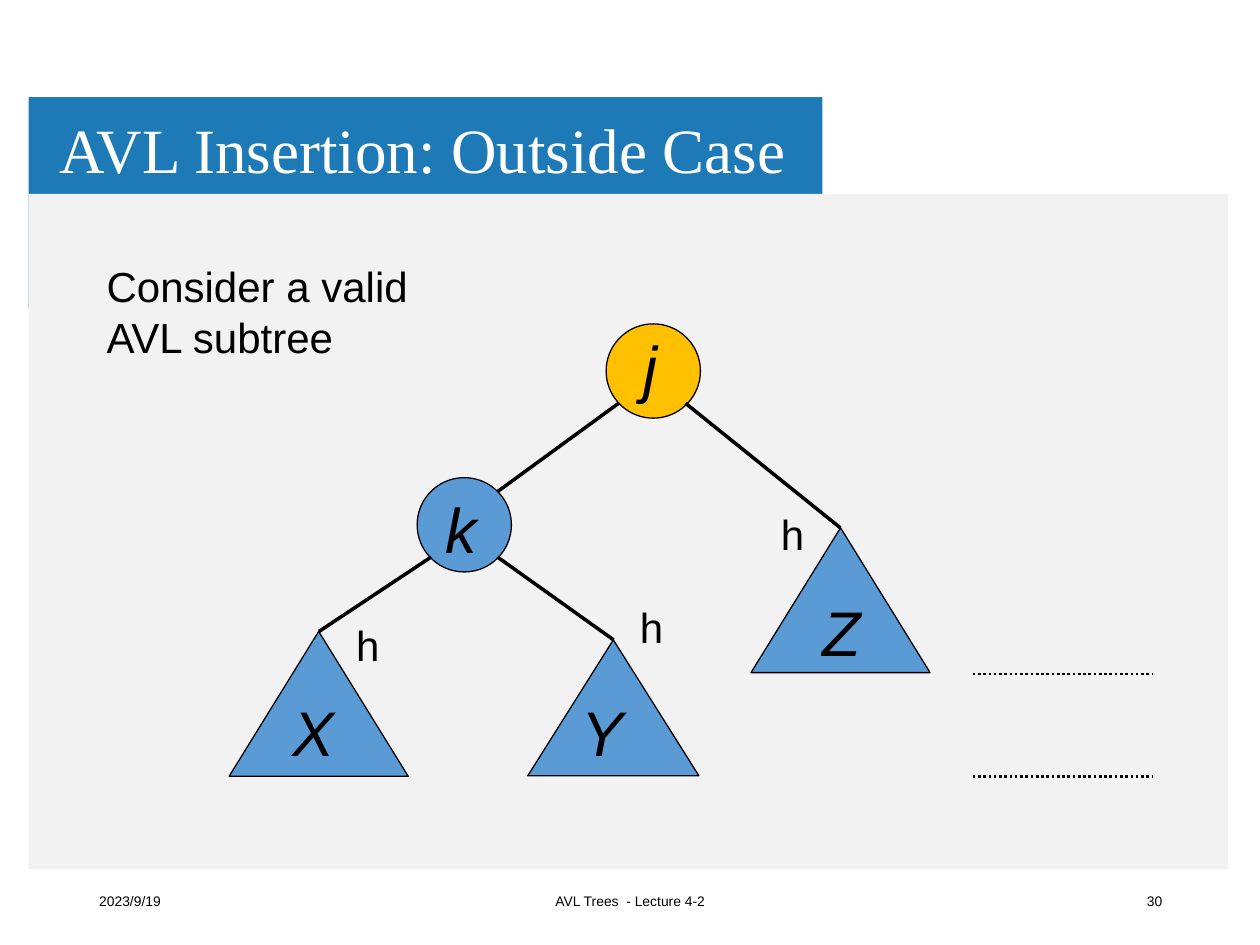
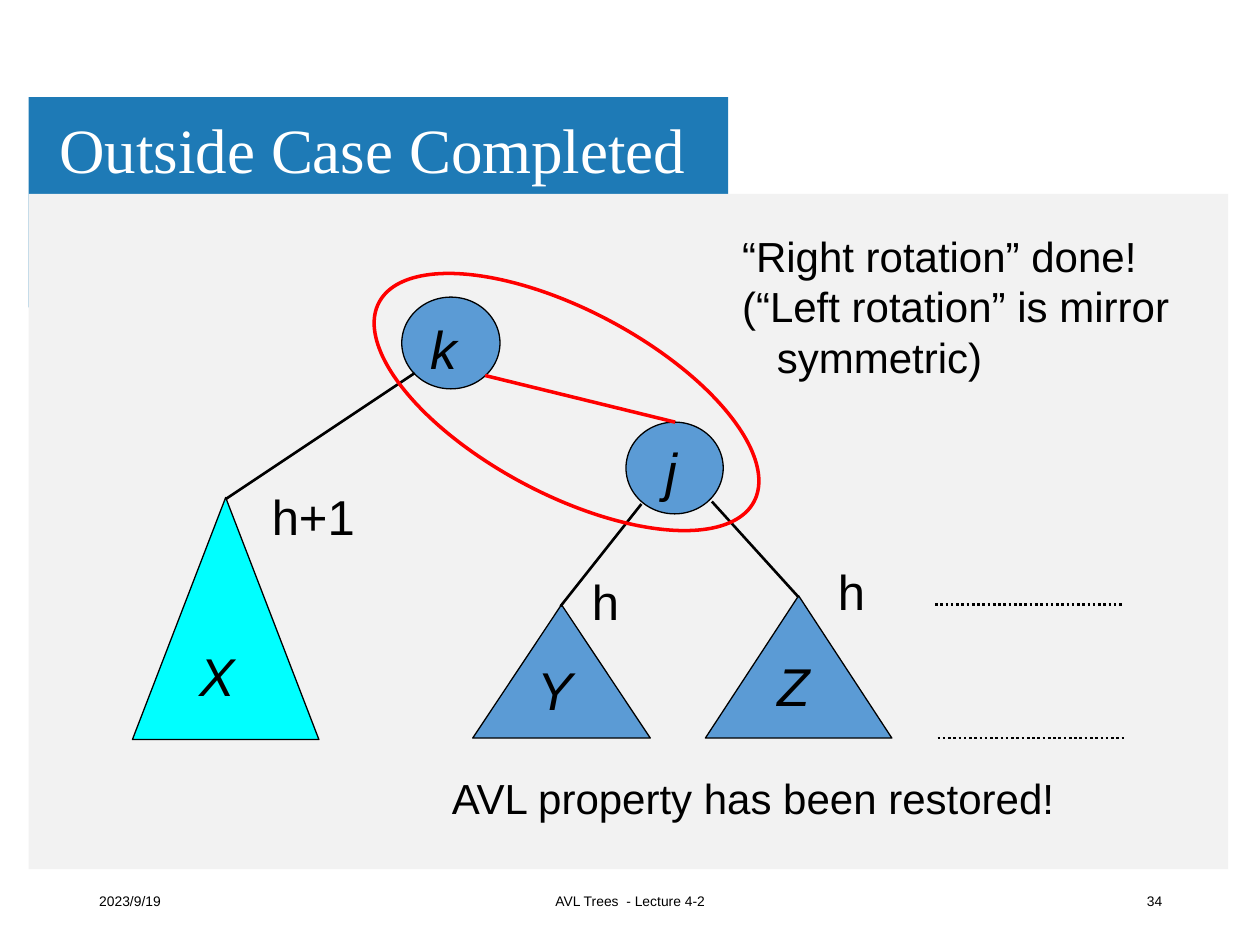
from lxml.etree import SubElement
from pptx import Presentation
from pptx.dml.color import RGBColor
from pptx.enum.dml import MSO_LINE
from pptx.enum.shapes import MSO_CONNECTOR, MSO_SHAPE
from pptx.enum.text import MSO_ANCHOR, PP_ALIGN
from pptx.oxml.ns import qn
from pptx.util import Cm, Pt

BAND = RGBColor(0x1E, 0x7A, 0xB6)
PANEL = RGBColor(0xF2, 0xF2, 0xF2)
BLUE = RGBColor(0x5B, 0x9B, 0xD5)
AMBER = RGBColor(0xFF, 0xC0, 0x00)
CYAN = RGBColor(0x00, 0xFF, 0xFF)
RED = RGBColor(0xFF, 0x00, 0x00)
BLACK = RGBColor(0x00, 0x00, 0x00)
WHITE = RGBColor(0xFF, 0xFF, 0xFF)

OVAL, TREE = MSO_SHAPE.OVAL, MSO_SHAPE.ISOSCELES_TRIANGLE
LEFT, MID, RIGHT = PP_ALIGN.LEFT, PP_ALIGN.CENTER, PP_ALIGN.RIGHT


def write(slide, rows, box, size, align=LEFT, color=BLACK, face="Arial", slant=False):
    """Add a text box with one paragraph for each row."""
    frame = slide.shapes.add_textbox(*map(Cm, box)).text_frame
    frame.word_wrap = True
    for num, row in enumerate(rows):
        para = frame.add_paragraph() if num else frame.paragraphs[0]
        para.alignment = align
        run = para.add_run()
        run.text = row
        run.font.name, run.font.size = face, Pt(size)
        run.font.color.rgb, run.font.italic = color, slant
    return frame


def draw(slide, kind, box, fill=None, line=None, width=0.75):
    """Add a preset shape without shadow."""
    shape = slide.shapes.add_shape(kind, *map(Cm, box))
    shape.shadow.inherit = False
    if fill is None:
        shape.fill.background()
    else:
        shape.fill.solid()
        shape.fill.fore_color.rgb = fill
    if line is None:
        shape.line.fill.background()
    else:
        shape.line.color.rgb, shape.line.width = line, Pt(width)
    return shape


# What each slide holds, in centimetres and points
pages = [
    dict(
        title="AVL Insertion: Outside Case", band=16, number="30",
        notes=[(["Consider a valid", "AVL subtree"], (1.9, 5.13, 6.8, 2.31))],
        nodes=[
            (OVAL, (12.22, 6.53, 1.9, 1.9), AMBER),
            (OVAL, (8.41, 9.63, 1.9, 1.9), BLUE),
            (TREE, (4.62, 12.73, 3.61, 2.92), BLUE),
            (TREE, (10.64, 12.9, 3.45, 2.74), BLUE),
            (TREE, (15.14, 10.64, 3.61, 2.92), BLUE),
        ],
        edges=[
            (12.47, 8.13, 10.03, 9.91), (8.69, 11.23, 6.43, 12.73),
            (10.03, 11.23, 12.37, 12.9), (13.82, 8.13, 16.94, 10.64),
        ],
        weight=2, hot=[],
        dots=[(19.61, 13.59, 23.24, 13.59), (19.61, 15.65, 23.24, 15.65)],
        names=[("j", 12.73, 6.5), ("k", 8.74, 9.77), ("X", 5.64, 13.86),
               ("Y", 11.48, 13.86), ("Z", 16.33, 11.85)],
        big=36,
        heights=[("h", 15.49, 10.13), ("h", 6.93, 12.37), ("h", 12.65, 12.01)],
        small=24,
    ),
    dict(
        title="Outside Case Completed", band=14.1, number="34",
        notes=[
            (["“Right rotation” done!", "(“Left rotation” is mirror", "symmetric)"],
             (14.71, 4.52, 9.5, 3.33)),
            (["AVL property has been restored!"], (8.86, 15.44, 12.9, 1.27)),
        ],
        nodes=[
            (OVAL, (12.62, 8.51, 1.96, 1.85), BLUE),
            (OVAL, (8.1, 5.99, 1.98, 1.85), BLUE),
            (TREE, (2.67, 10.03, 3.76, 4.88), CYAN),
            (TREE, (9.53, 12.19, 3.58, 2.69), BLUE),
            (TREE, (14.22, 12.01, 3.76, 2.87), BLUE),
        ],
        edges=[
            (4.55, 10.06, 8.36, 7.52), (12.93, 10.16, 11.3, 12.22),
            (14.35, 10.11, 16.1, 12.04),
        ],
        weight=1.5, hot=[(9.78, 7.57, 13.61, 8.51)],
        dots=[(18.85, 12.19, 22.61, 12.19), (18.9, 14.88, 22.66, 14.88)],
        names=[("j", 13.17, 8.71), ("k", 8.43, 6.25), ("X", 3.78, 12.85),
               ("Y", 10.59, 13.13), ("Z", 15.42, 13.05)],
        big=30.4,
        heights=[("h", 16.64, 11.2), ("h+1", 5.23, 9.68), ("h", 11.68, 11.4)],
        small=28,
    ),
]

deck = Presentation()
deck.slide_width, deck.slide_height = Cm(25.4), Cm(19.05)

for page in pages:
    slide = deck.slides.add_slide(deck.slide_layouts[6])

    # Title band and panel
    draw(slide, MSO_SHAPE.RECTANGLE, (0.58, 1.96, page["band"], 4.24), BAND)
    draw(slide, MSO_SHAPE.RECTANGLE, (0.58, 3.91, 24.18, 13.61), PANEL)
    head = write(slide, [page["title"]], (1.02, 2.08, 19.6, 2), 36,
                 color=WHITE, face="Times New Roman")
    head.vertical_anchor = MSO_ANCHOR.MIDDLE
    head.margin_left = head.margin_right = Cm(0.18)
    head.margin_top = head.margin_bottom = Cm(0.1)
    head.paragraphs[0].line_spacing = 0.9

    # Footer
    for text, left, width, align in [
        ("2023/9/19", 1.75, 5.72, LEFT),
        ("AVL Trees  - Lecture 4-2", 8.41, 8.59, MID),
        (page["number"], 17.96, 5.72, RIGHT),
    ]:
        foot = write(slide, [text], (left, 17.65, width, 1.02), 7.9, align)
        foot.vertical_anchor = MSO_ANCHOR.MIDDLE

    # Remarks, with a wrapped third row set in
    for rows, box in page["notes"]:
        note = write(slide, rows, box, 24)
        for para in note.paragraphs[2:]:
            para._p.get_or_add_pPr().set("marL", str(Cm(0.7)))

    # Nodes and subtrees
    for kind, box, fill in page["nodes"]:
        draw(slide, kind, box, fill, BLACK)

    # Edges, the rotated edge and level marks
    for group, color, width, dash in [
        ("edges", BLACK, page["weight"], None),
        ("hot", RED, 2, None),
        ("dots", BLACK, 1.5, MSO_LINE.ROUND_DOT),
    ]:
        for ends in page[group]:
            edge = slide.shapes.add_connector(MSO_CONNECTOR.STRAIGHT, *map(Cm, ends))
            edge.line.color.rgb, edge.line.width = color, Pt(width)
            edge.line.dash_style = dash
            SubElement(edge._element.spPr, qn("a:effectLst"))

    # Ring around the rotated pair
    if page["hot"]:
        ring = draw(slide, OVAL, (7.14, 6.25, 8.56, 3.71), line=RED, width=2)
        ring.rotation = 28

    # Node names and subtree heights
    for text, left, top in page["names"]:
        write(slide, [text], (left, top, 1.2, 1.7), page["big"], slant=True)
    for text, left, top in page["heights"]:
        write(slide, [text], (left, top, 0.4 + 0.8 * len(text), 1.4), page["small"])

deck.save("out.pptx")
